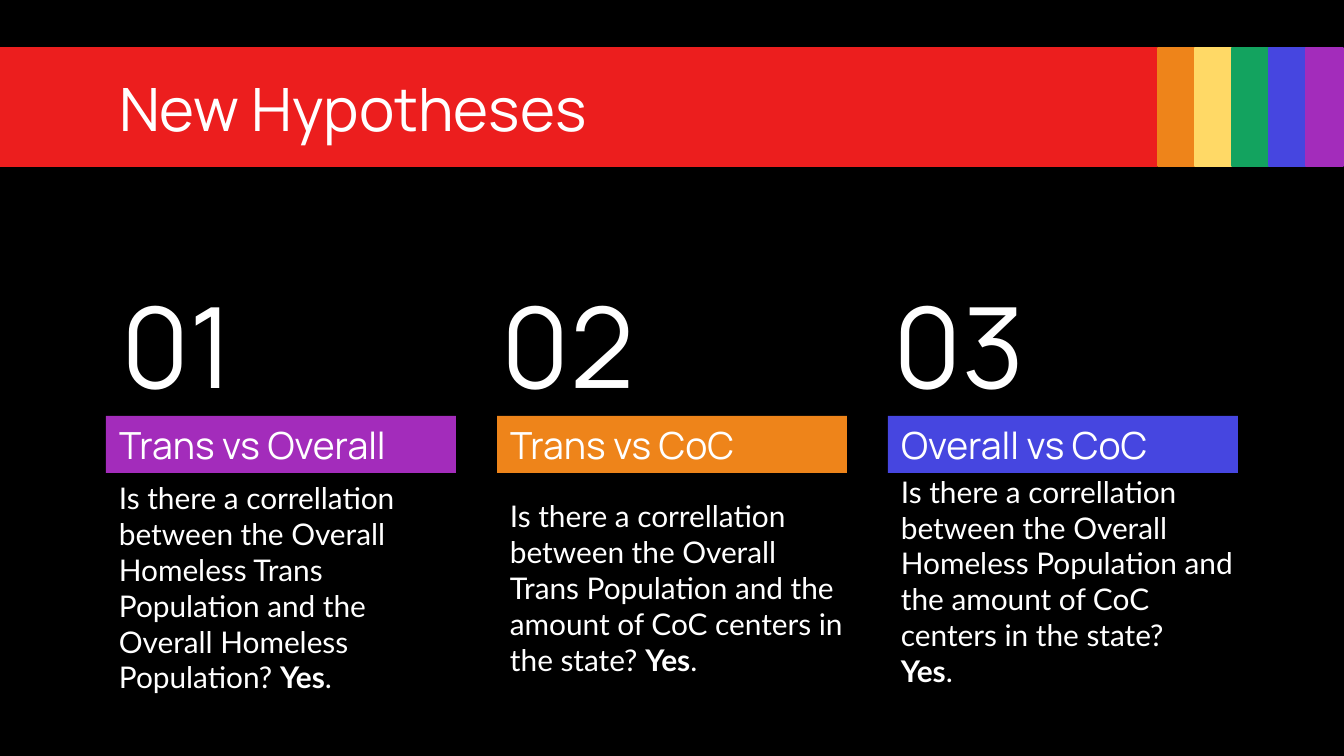
from pptx import Presentation
from pptx.dml.color import RGBColor
from pptx.enum.shapes import MSO_SHAPE
from pptx.enum.text import MSO_ANCHOR, MSO_AUTO_SIZE, PP_ALIGN
from pptx.util import Pt

RECTANGLE = MSO_SHAPE.RECTANGLE
MIDDLE = MSO_ANCHOR.MIDDLE
NO_AUTOFIT = MSO_AUTO_SIZE.NONE
LEFT, CENTER = PP_ALIGN.LEFT, PP_ALIGN.CENTER

BLACK = RGBColor(0x00, 0x00, 0x00)
WHITE = RGBColor(0xFF, 0xFF, 0xFF)
RED = RGBColor(0xEC, 0x1E, 0x1E)
ORANGE = RGBColor(0xEE, 0x84, 0x1A)
YELLOW = RGBColor(0xFF, 0xD9, 0x66)
GREEN = RGBColor(0x13, 0xA3, 0x5F)
BLUE = RGBColor(0x46, 0x46, 0xE0)
PURPLE = RGBColor(0xA3, 0x2C, 0xBB)

PX_PER_INCH = 134.4


def px(*lengths):
    """Turn px lengths into EMU."""
    return [round(length * 914400 / PX_PER_INCH) for length in lengths]


def write(shape, paragraphs, font_name, size, align=LEFT):
    """Fill a shape with paragraphs, each a list of (text, bold) runs."""
    frame = shape.text_frame
    frame.word_wrap = True
    frame.auto_size = NO_AUTOFIT
    frame.vertical_anchor = MIDDLE
    inset = px(13)[0]
    frame.margin_left = frame.margin_right = inset
    frame.margin_top = frame.margin_bottom = inset
    for index, runs in enumerate(paragraphs):
        paragraph = frame.add_paragraph() if index else frame.paragraphs[0]
        paragraph.alignment = align
        paragraph.font.name = font_name
        paragraph.font.size = Pt(size)
        paragraph.font.color.rgb = WHITE
        for text, bold in runs:
            run = paragraph.add_run()
            run.text = text
            if bold:
                run.font.bold = True


prs = Presentation()
prs.slide_width, prs.slide_height = px(1344, 756)
slide = prs.slides.add_slide(prs.slide_layouts[5])
slide.background.fill.solid()
slide.background.fill.fore_color.rgb = BLACK
shapes = slide.shapes

# Rainbow band
stripes = [(0, 1157, RED)]
for index, color in enumerate((ORANGE, YELLOW, GREEN, BLUE, PURPLE)):
    stripes.append((1158 + 37 * index, 37, color))
for left, width, color in stripes:
    stripe = shapes.add_shape(RECTANGLE, *px(left, 48, width, 118))
    stripe.shadow.inherit = False
    stripe.fill.solid()
    stripe.fill.fore_color.rgb = color
    stripe.line.color.rgb = color
    stripe.line.width = Pt(0.75)

# Title, brought in front of the band
title = shapes.title
title.element.getparent().append(title.element)
title.left, title.top, title.width, title.height = px(106, 66, 1133, 84)
write(title, [[("New Hypotheses", False)]], "Manrope", 32)

# Hypothesis columns
ANSWER = [("Yes", True), (".", False)]
hypotheses = [
    ("Trans vs Overall", PURPLE, 470, 235,
     [[("Is there a correllation between the Overall Homeless Trans Population "
        "and the Overall Homeless Population? ", False)] + ANSWER]),
    ("Trans vs CoC", ORANGE, 470, 235,
     [[("Is there a correllation between the Overall Trans Population "
        "and the amount of CoC centers in the state? ", False)] + ANSWER]),
    ("Overall vs CoC", BLUE, 473, 216,
     [[("Is there a correllation between the Overall Homeless Population "
        "and the amount of CoC centers in the state?", False)], ANSWER]),
]
for index, (name, color, top, height, question) in enumerate(hypotheses):
    left = 106 + 391 * index

    number = shapes.add_textbox(*px(left - 32, 267, 206, 153))
    write(number, [[(f"{index + 1:02}", False)]], "Manrope", 60, CENTER)

    heading = shapes.add_shape(RECTANGLE, *px(left, 416, 350, 57))
    heading.shadow.inherit = False
    heading.fill.solid()
    heading.fill.fore_color.rgb = color
    heading.line.fill.background()
    write(heading, [[(name, False)]], "Manrope", 20)

    body = shapes.add_textbox(*px(left, top, 360, height))
    write(body, question, "Lato", 16)

prs.save("out.pptx")
